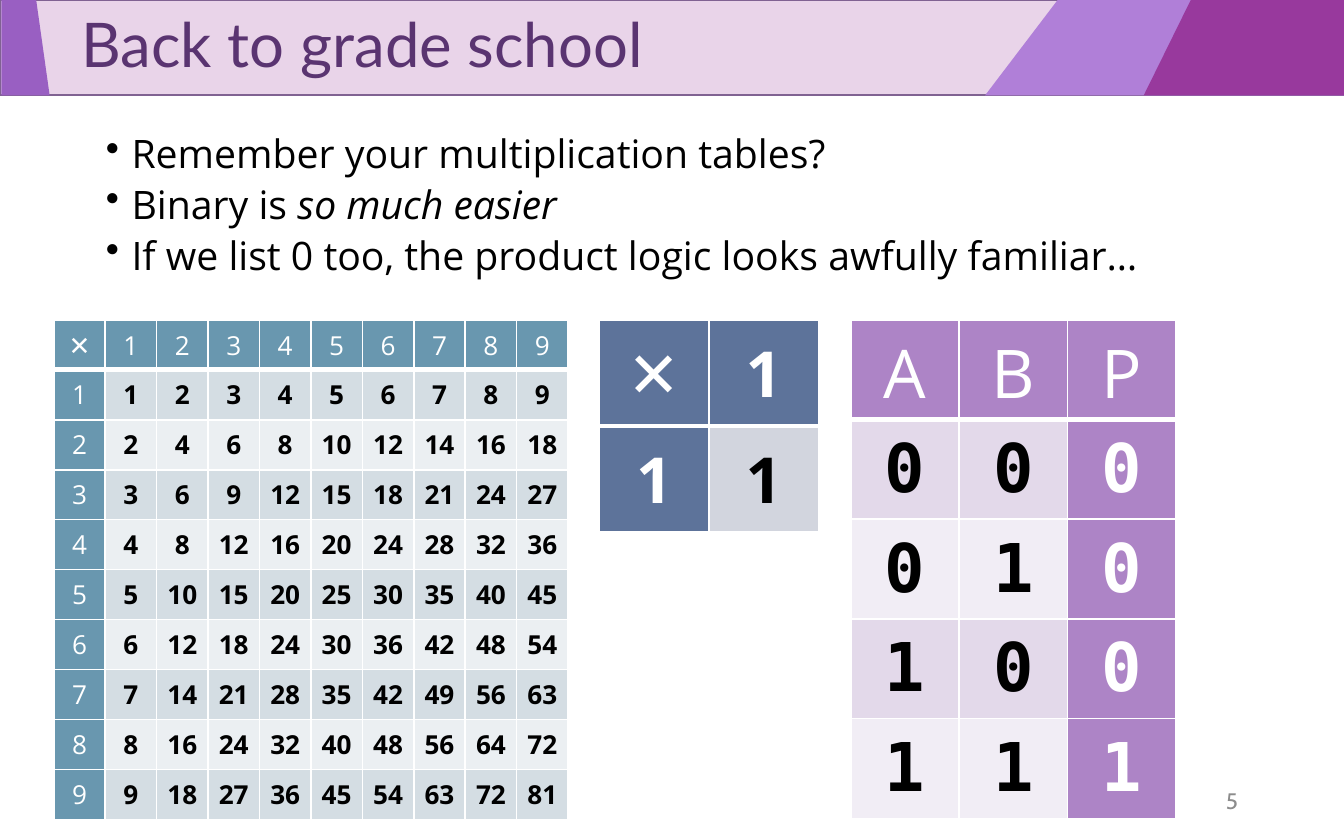
import dataclasses

import pptx
import pptx.dml.color
import pptx.enum.shapes
import pptx.enum.text
import pptx.oxml
import pptx.oxml.ns
import pptx.util

COLUMNS, ROWS = 100, 62.5
ALIGN = pptx.enum.text.PP_ALIGN
MIDDLE = pptx.enum.text.MSO_ANCHOR.MIDDLE


@dataclasses.dataclass(frozen=True)
class Theme:
    """Colours, fonts and type sizes of the slide."""
    white: str = "FFFFFF"
    black: str = "000000"
    title: str = "5A3471"
    number: str = "8C8C8C"
    band: str = "E9D4E9"
    band_line: str = "806292"
    lilac: str = "B07FD8"
    violet: str = "995FC2"
    plum: str = "98399D"
    decimal: tuple = ("6997AF", "D4DDE3", "EBEFF2")
    binary: tuple = ("5D739A", "D2D5DE", "D2D5DE")
    logic: tuple = ("AD84C6", "E3D9EA", "F1EDF5")
    title_font: str = "Lato"
    body_font: str = "Open Sans"
    number_font: str = "Cabin"
    mono_font: str = "DejaVu Sans Mono"
    title_size: float = 33
    body_size: float = 21
    number_size: float = 12
    decimal_size: float = 14
    binary_size: float = 34
    logic_size: float = 36


THEME = Theme()


def grid(units):
    """Turn grid columns or rows (a tenth of an inch each) into a length."""
    return pptx.util.Inches(units / 10)


def colour(value):
    """Turn a hex string into a colour."""
    return pptx.dml.color.RGBColor.from_string(value)


def write(para, text, *, size, font, color, bold=False, italic=False,
          align=ALIGN.LEFT):
    """Add one formatted span of text to a paragraph."""
    para.alignment = align
    span = para.add_run()
    span.text = text
    span.font.size = pptx.util.Pt(size)
    span.font.name = font
    span.font.bold = bold
    span.font.italic = italic
    span.font.color.rgb = colour(color)


def add_text_box(page, left, top, width, height, anchor):
    """Add an empty wrapping text box and return its text frame."""
    box = page.shapes.add_textbox(*map(grid, (left, top, width, height)))
    box.text_frame.word_wrap = True
    box.text_frame.vertical_anchor = anchor
    return box.text_frame


def indent(para, left, first=0, bullet=None):
    """Set the paragraph indents in inches and an optional bullet."""
    properties = para._p.get_or_add_pPr()
    properties.set("marL", str(pptx.util.Inches(left)))
    properties.set("indent", str(pptx.util.Inches(first)))
    if bullet:
        mark = pptx.oxml.parse_xml(
            f'<a:buChar {pptx.oxml.ns.nsdecls("a")} char="{bullet}"/>')
        properties.append(mark)


def paint(shape, fill, line=None):
    """Give a shape a plain fill, an optional outline and no shadow."""
    shape.shadow.inherit = False
    shape.fill.solid()
    shape.fill.fore_color.rgb = colour(fill)
    if line:
        shape.line.color.rgb = colour(line)
        shape.line.width = pptx.util.Pt(1)
    else:
        shape.line.fill.background()


def add_polygon(page, points, fill):
    """Add a closed outline through grid points."""
    start, *others = [(grid(x), grid(y)) for x, y in points]
    builder = page.shapes.build_freeform(*start)
    builder.add_line_segments(others, close=True)
    paint(builder.convert_to_shape(), fill)


def add_header(page, height=7.1):
    """Add the title band with its slanted ends and the title."""
    band = page.shapes.add_shape(pptx.enum.shapes.MSO_SHAPE.RECTANGLE,
                                 0, 0, grid(COLUMNS), grid(height))
    paint(band, THEME.band, THEME.band_line)
    for top_left, top_right, low_right, low_left, fill in (
            (78.7, COLUMNS, COLUMNS, 73.3, THEME.lilac),
            (0.1, 2.7, 3.7, 0.1, THEME.violet),
            (88.6, COLUMNS, COLUMNS, 85.1, THEME.plum)):
        add_polygon(page, ((top_left, 0), (top_right, 0),
                           (low_right, height), (low_left, height)), fill)
    para = add_text_box(page, 0.1, 0, COLUMNS, height, MIDDLE).paragraphs[0]
    indent(para, 0.5)
    para.line_spacing = 0.9
    write(para, "Back to grade school", size=THEME.title_size,
          font=THEME.title_font, color=THEME.title)


def add_bullets(page, items):
    """Add the bullet list; each item is a list of (text, italic) spans."""
    frame = add_text_box(page, 6.9, 9.8, 86.2, 46.5,
                         pptx.enum.text.MSO_ANCHOR.TOP)
    for index, spans in enumerate(items):
        para = frame.add_paragraph() if index else frame.paragraphs[0]
        para.line_spacing = 0.81
        para.space_before = pptx.util.Pt(6.75)
        indent(para, 0.19, -0.19, "•")
        for text, italic in spans:
            write(para, text, size=THEME.body_size, font=THEME.body_font,
                  color=THEME.black, italic=italic)


def set_borders(cell, bottom):
    """Draw white cell borders; the bottom one has its own width."""
    properties = cell._tc.get_or_add_tcPr()
    for side, points in (("L", 1), ("R", 1), ("T", 1), ("B", bottom)):
        properties.append(pptx.oxml.parse_xml(
            f'<a:ln{side} {pptx.oxml.ns.nsdecls("a")} '
            f'w="{pptx.util.Pt(points)}"><a:solidFill>'
            f'<a:srgbClr val="{THEME.white}"/></a:solidFill></a:ln{side}>'))


def add_grid_table(page, left, width, height, values, colors, size,
                   label_column=0, head_bold=False, label_bold=False,
                   font=THEME.body_font, inset=True):
    """Add a table with a header row, one label column and banded rows."""
    head, *bands = colors
    table = page.shapes.add_table(
        len(values), len(values[0]), grid(left), grid(23.8),
        grid(width), grid(height)).table
    table.first_row = table.horz_banding = False
    for column in table.columns:
        column.width = grid(width / len(values[0]))
    for y, row in enumerate(values):
        table.rows[y].height = grid(height / len(values))
        for x, value in enumerate(row):
            cell = table.cell(y, x)
            label = y == 0 or x == label_column
            set_borders(cell, 1 if y else 3)
            cell.fill.solid()
            cell.fill.fore_color.rgb = colour(
                head if label else bands[(y - 1) % 2])
            cell.vertical_anchor = MIDDLE
            if not inset:
                cell.margin_left = cell.margin_right = 0
                cell.margin_top = cell.margin_bottom = 0
            bold = head_bold if y == 0 else label_bold or not label
            write(cell.text_frame.paragraphs[0], str(value), size=size,
                  font=font if y else THEME.body_font, bold=bold,
                  color=THEME.white if label else THEME.black,
                  align=ALIGN.CENTER)


def times_table(last):
    """Return the multiplication table up to a last factor."""
    factors = range(1, last + 1)
    return [["✕", *factors]] + [[a, *(a * b for b in factors)] for a in factors]


def add_page_number(page, number):
    """Add the page number at the lower right."""
    frame = add_text_box(page, 70.6, 57.9, 22.5, 3.3, MIDDLE)
    write(frame.paragraphs[0], number, size=THEME.number_size,
          font=THEME.number_font, color=THEME.number, align=ALIGN.RIGHT)


def main():
    """Build the slide and save it."""
    deck = pptx.Presentation()
    deck.slide_width, deck.slide_height = grid(COLUMNS), grid(ROWS)
    page = deck.slides.add_slide(deck.slide_layouts[6])
    add_header(page)
    add_bullets(page, [
        [("Remember your multiplication tables?", False)],
        [("Binary is ", False), ("so much easier", True)],
        [("If we list 0 too, the product logic looks awfully familiar…",
          False)]])
    add_page_number(page, "5")
    add_grid_table(page, 4, 38.3, 37.2, times_table(9), THEME.decimal,
                   THEME.decimal_size, inset=False)
    add_grid_table(page, 44.6, 16.3, 15.8, times_table(1), THEME.binary,
                   THEME.binary_size, head_bold=True, label_bold=True,
                   inset=False)
    products = [[a, b, a * b] for a in (0, 1) for b in (0, 1)]
    add_grid_table(page, 63.3, 24.2, 37.1, [["A", "B", "P"], *products],
                   THEME.logic, THEME.logic_size, label_column=2,
                   label_bold=True, font=THEME.mono_font)
    deck.save("out.pptx")


main()
